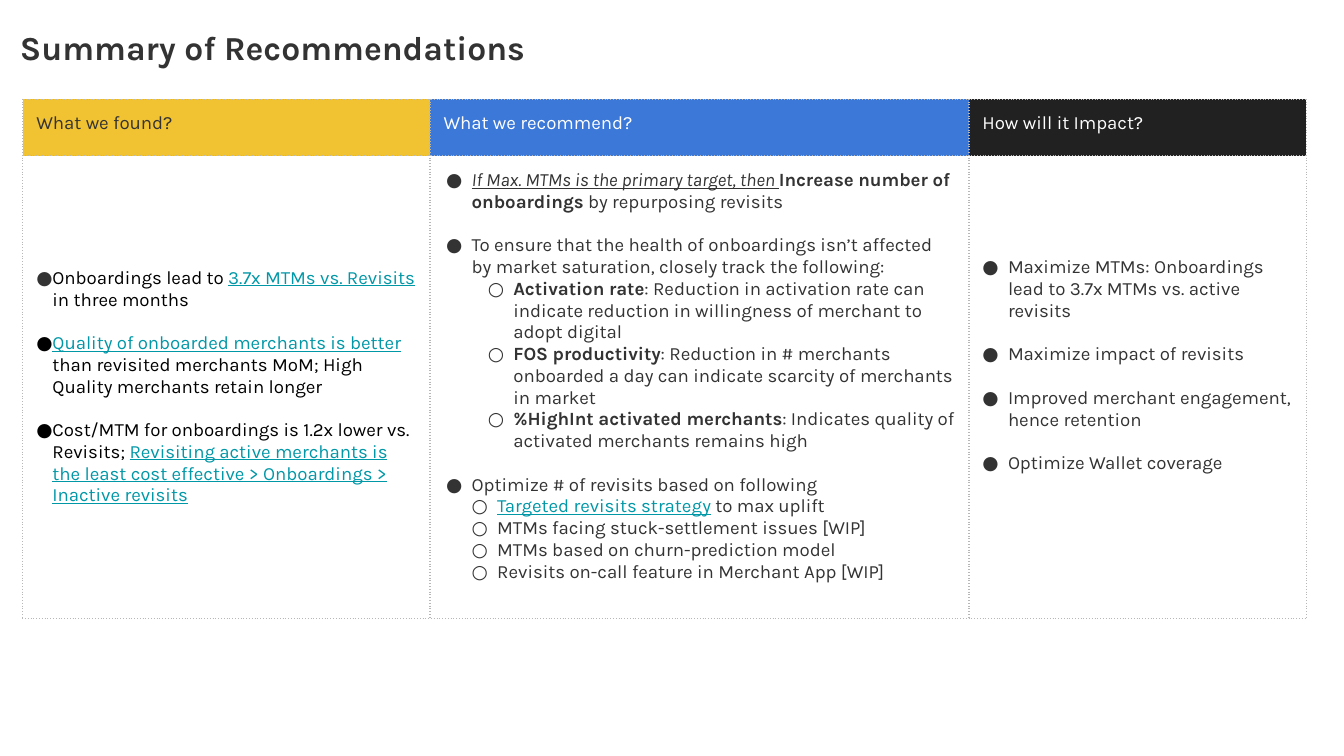
"""Build the summary of recommendations slide."""
import dataclasses

import lxml.etree
import pptx
import pptx.dml.color
import pptx.enum.text
import pptx.oxml.ns
import pptx.util

Inches = pptx.util.Inches
Pt = pptx.util.Pt
MIDDLE = pptx.enum.text.MSO_ANCHOR.MIDDLE
TOP = pptx.enum.text.MSO_ANCHOR.TOP


@dataclasses.dataclass(frozen=True)
class Theme:
    font: str = "Karla"
    title_size: float = 18
    body_size: float = 10
    group_gap: float = 11.65
    border_width: float = 0.75
    ink: str = "333333"
    black: str = "000000"
    white: str = "FFFFFF"
    link: str = "0097A7"
    found: str = "F1C232"
    recommend: str = "3C78D8"
    impact: str = "212121"
    border: str = "B7B7B7"


THEME = Theme()
LINK = {"underline": True, "color": THEME.link}
BOLD = {"bold": True}
CONDITION = {"italic": True, "underline": True}
BLACK = {"color": THEME.black}


@dataclasses.dataclass(frozen=True)
class Point:
    runs: tuple
    indent: float = 0.19
    hanging: float = 0.19
    level: int = 0
    starts_group: bool = False
    bullet_color: str = THEME.ink


def detail(*runs, indent):
    return Point(runs, indent=indent, level=1)


def finding(*runs, **options):
    return Point(runs, indent=0.12, hanging=0.12, **options)


HEADERS = (
    ("What we found?", THEME.found, THEME.ink),
    ("What we recommend?", THEME.recommend, THEME.white),
    ("How will it Impact?", THEME.impact, THEME.white),
)
FINDINGS = (
    finding(("Onboardings lead to ", BLACK), ("3.7x MTMs vs. Revisits ", LINK),
            ("in three months", BLACK)),
    finding(("Quality of onboarded merchants is better", LINK),
            (" than revisited merchants MoM; High Quality merchants retain longer", BLACK),
            starts_group=True, bullet_color=THEME.black),
    finding(("Cost/MTM for onboardings is 1.2x lower vs. Revisits; ", BLACK),
            ("Revisiting active merchants is the least cost effective > "
             "Onboardings > Inactive revisits", LINK),
            starts_group=True, bullet_color=THEME.black),
)
RECOMMENDATIONS = (
    Point((("If Max. MTMs is the primary target, then ", CONDITION),
           ("Increase number of onboardings", BOLD), (" by repurposing revisits", {}))),
    Point((("To ensure that the health of onboardings isn’t affected by market "
            "saturation, closely track the following:", {}),), starts_group=True),
    *(detail((metric, BOLD), (meaning, {}), indent=0.5) for metric, meaning in (
        ("Activation rate", ": Reduction in activation rate can indicate reduction "
                            "in willingness of merchant to adopt digital"),
        ("FOS productivity", ": Reduction in # merchants onboarded a day can "
                             "indicate scarcity of merchants in market"),
        ("%HighInt activated merchants", ": Indicates quality of activated "
                                         "merchants remains high"),
    )),
    Point((("Optimize # of revisits based on following", {}),), starts_group=True),
    detail(("Targeted revisits strategy", LINK), (" to max uplift", {}), indent=0.38),
    *(detail((revisit_basis, {}), indent=0.38) for revisit_basis in (
        "MTMs facing stuck-settlement issues [WIP]",
        "MTMs based on churn-prediction model",
        "Revisits on-call feature in Merchant App [WIP]",
    )),
)
IMPACTS = tuple(
    Point(((impact, {}),), starts_group=position > 0)
    for position, impact in enumerate((
        "Maximize MTMs: Onboardings lead to 3.7x MTMs vs. active revisits",
        "Maximize impact of revisits",
        "Improved merchant engagement, hence retention",
        "Optimize Wallet coverage",
    ))
)
BODIES = (
    (FINDINGS, {}),
    (RECOMMENDATIONS, {"left": 0.12, "top": 0.04, "bottom": 0.2}),
    (IMPACTS, {"bottom": 0.42}),
)
COLUMN_WIDTHS = (3.03, 4.01, 2.51)
ROW_HEIGHTS = (0.42, 3.44)


def rgb(value):
    return pptx.dml.color.RGBColor.from_string(value)


def add_xml(parent, tag, **attributes):
    return lxml.etree.SubElement(parent, pptx.oxml.ns.qn(tag), attributes)


def add_color(parent, value):
    add_xml(add_xml(parent, "a:solidFill"), "a:srgbClr", val=value)


def set_values(target, values):
    for name, value in values.items():
        setattr(target, name, value)


def set_margins(target, left=0.1, top=0.1, right=0.1, bottom=0.1):
    set_values(target, {
        "margin_left": Inches(left),
        "margin_top": Inches(top),
        "margin_right": Inches(right),
        "margin_bottom": Inches(bottom),
    })


def add_run(paragraph, text, size=THEME.body_size, color=THEME.ink, **style):
    run = paragraph.add_run()
    run.text = text
    set_values(run.font, {"name": THEME.font, "size": Pt(size), **style})
    run.font.color.rgb = rgb(color)


def add_title(slide, text):
    title = slide.shapes.add_textbox(Inches(0.05), Inches(0.09), Inches(9.87), Inches(0.48))
    set_values(title.text_frame, {"word_wrap": True, "vertical_anchor": MIDDLE})
    set_margins(title.text_frame)
    heading = title.text_frame.paragraphs[0]
    heading.line_spacing = 1.15
    add_run(heading, text, size=THEME.title_size, bold=True)


def format_cell(cell, anchor, **margins):
    cell.vertical_anchor = anchor
    set_margins(cell, **margins)
    properties = cell._tc.get_or_add_tcPr()
    for side in "LRTB":
        edge = add_xml(properties, f"a:ln{side}", w=str(Pt(THEME.border_width)))
        add_color(edge, THEME.border)
        add_xml(edge, "a:prstDash", val="dot")


def add_header(cell, text, fill, color):
    format_cell(cell, TOP)
    cell.fill.solid()
    cell.fill.fore_color.rgb = rgb(fill)
    add_run(cell.text_frame.paragraphs[0], text, color=color)


def write_point(paragraph, point):
    paragraph.level = point.level
    if point.starts_group:
        paragraph.space_before = Pt(THEME.group_gap)
    properties = paragraph._p.get_or_add_pPr()
    properties.set("marL", str(Inches(point.indent)))
    properties.set("indent", str(Inches(-point.hanging)))
    add_xml(add_xml(properties, "a:buClr"), "a:srgbClr", val=point.bullet_color)
    add_xml(properties, "a:buSzPts", val=str(THEME.body_size * 100))
    add_xml(properties, "a:buFont", typeface=THEME.font)
    add_xml(properties, "a:buChar", char="●○"[point.level])
    for text, style in point.runs:
        add_run(paragraph, text, **style)


def add_body(cell, points, margins):
    format_cell(cell, MIDDLE, **margins)
    cell.fill.background()
    frame = cell.text_frame
    for position, point in enumerate(points):
        write_point(frame.add_paragraph() if position else frame.paragraphs[0], point)


def add_summary(slide):
    summary = slide.shapes.add_table(
        len(ROW_HEIGHTS), len(COLUMN_WIDTHS), Inches(0.17), Inches(0.74),
        Inches(sum(COLUMN_WIDTHS)), Inches(sum(ROW_HEIGHTS))).table
    set_values(summary, {"first_row": False, "horz_banding": False})
    for column, width in zip(summary.columns, COLUMN_WIDTHS):
        column.width = Inches(width)
    for row, height in zip(summary.rows, ROW_HEIGHTS):
        row.height = Inches(height)
    for index, (header, body) in enumerate(zip(HEADERS, BODIES)):
        add_header(summary.cell(0, index), *header)
        add_body(summary.cell(1, index), *body)


def main():
    deck = pptx.Presentation()
    set_values(deck, {"slide_width": Inches(10), "slide_height": Inches(10 * 9 / 16)})
    slide = deck.slides.add_slide(deck.slide_layouts[6])
    add_title(slide, "Summary of Recommendations")
    add_summary(slide)
    deck.save("out.pptx")


if __name__ == "__main__":
    main()
